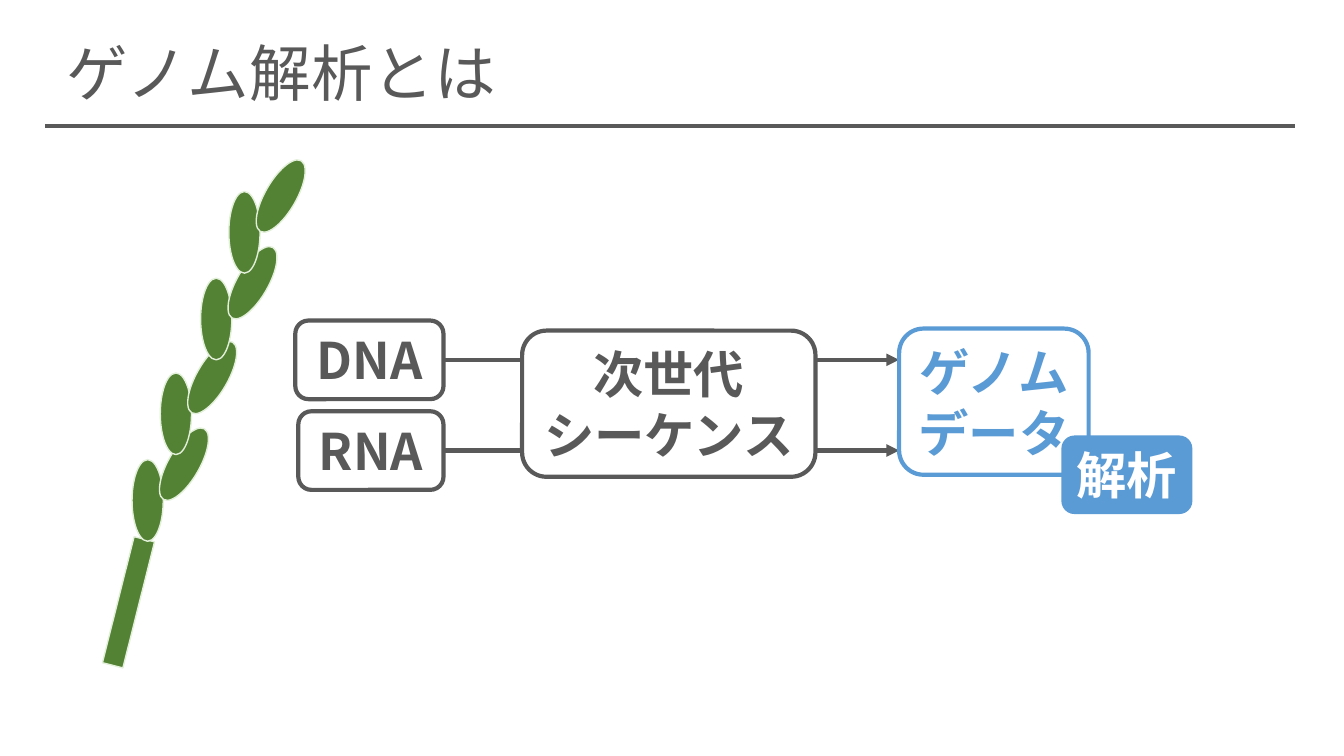
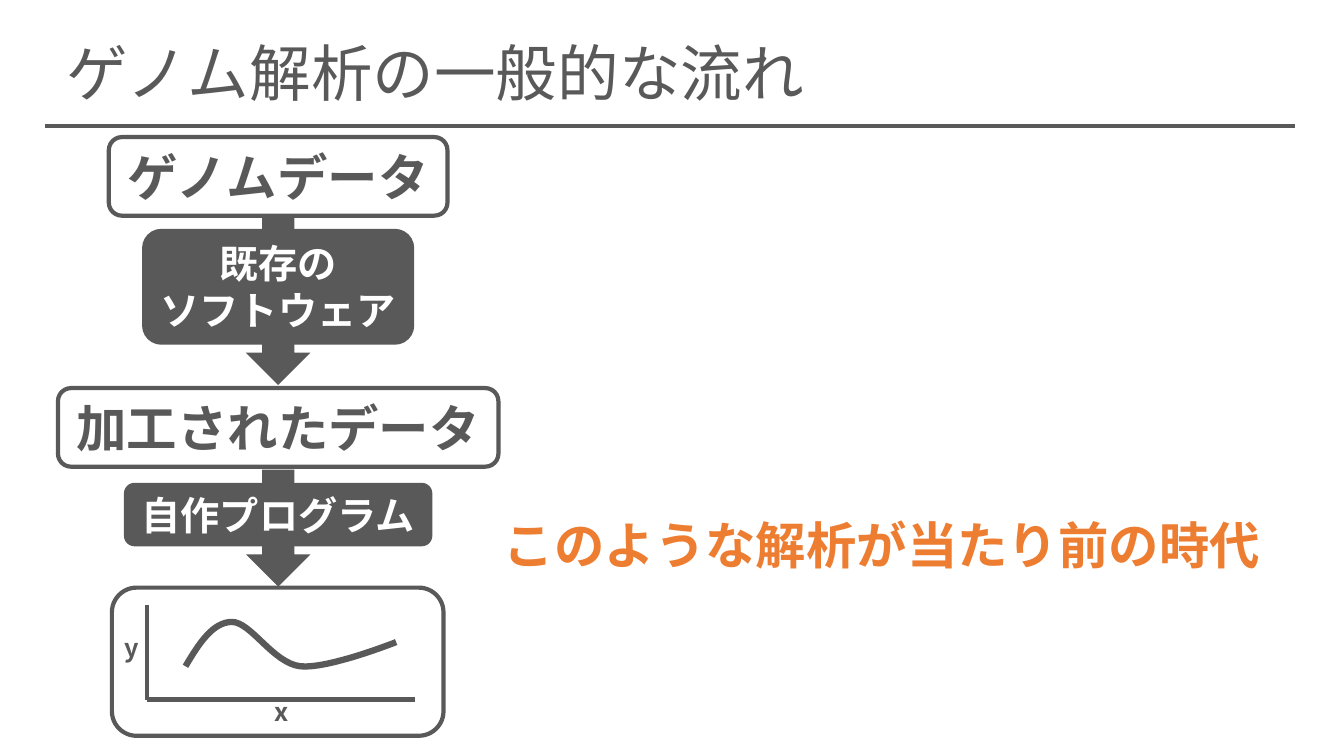
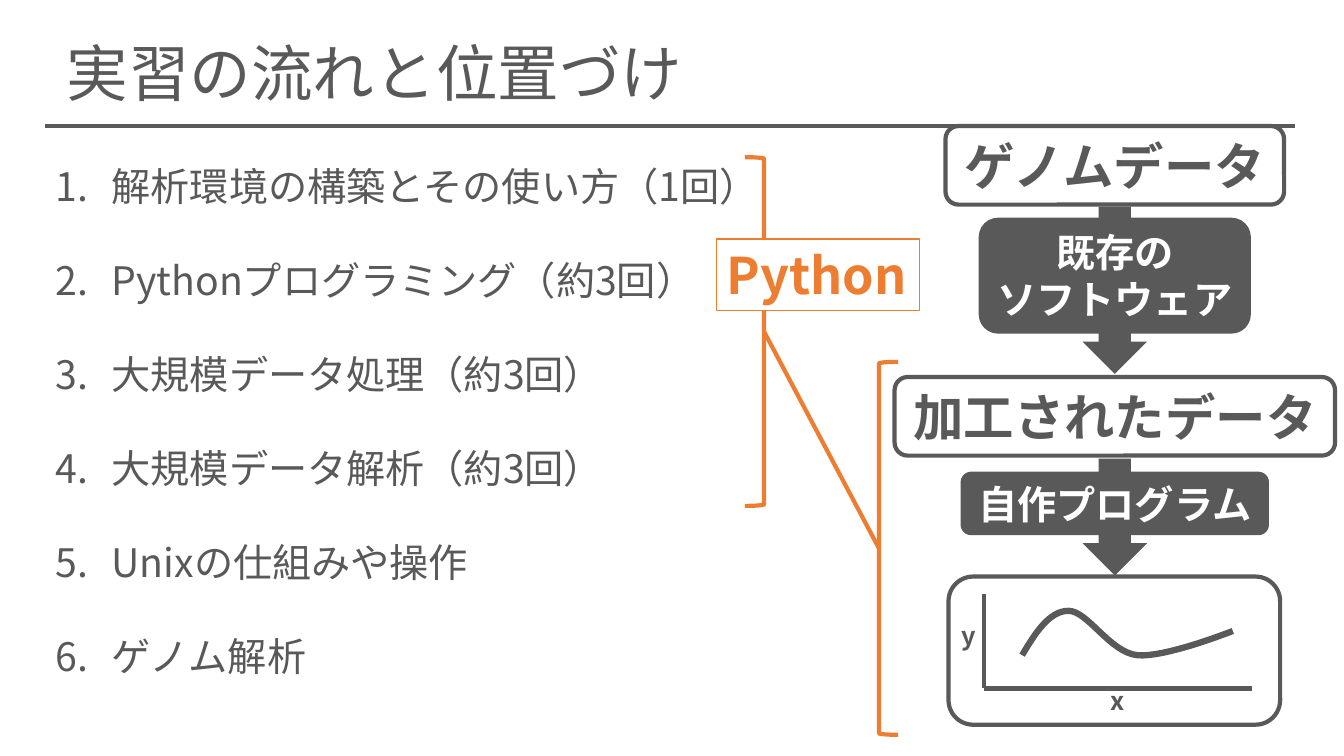
from dataclasses import dataclass

from lxml import etree
from pptx import Presentation
from pptx.dml.color import RGBColor
from pptx.enum.shapes import MSO_CONNECTOR, MSO_SHAPE
from pptx.enum.text import MSO_ANCHOR, MSO_AUTO_SIZE, PP_ALIGN
from pptx.oxml.ns import qn
from pptx.util import Pt

PX = 9144  # 100 px to the inch
RECT, ROUND, OVAL = MSO_SHAPE.RECTANGLE, MSO_SHAPE.ROUNDED_RECTANGLE, MSO_SHAPE.OVAL
DOWN = MSO_SHAPE.DOWN_ARROW
OPEN, CLOSE = MSO_SHAPE.LEFT_BRACKET, MSO_SHAPE.RIGHT_BRACKET
LEFT, MID = PP_ALIGN.LEFT, PP_ALIGN.CENTER
TOP, CENTER = MSO_ANCHOR.TOP, MSO_ANCHOR.MIDDLE


@dataclass(frozen=True)
class Theme:
    font: str = "Noto Sans CJK JP"
    gray: str = "595959"
    white: str = "FFFFFF"
    blue: str = "5B9BD5"
    orange: str = "ED7D31"
    green: str = "548235"
    pale: str = "E2F0D9"
    title: int = 44
    head: int = 36
    body: int = 28
    small: int = 18
    gap: float = 33.5
    thin: float = 1
    rule: float = 2.25
    line: float = 3
    curve: float = 4.5


T = Theme()


def emu(*vals):
    return [round(v * PX) for v in vals]


def color(code):
    return RGBColor.from_string(code)


# Text
def write(shape, lines, size, ink, bold=True, align=MID, anchor=CENTER, wrap=False):
    frame = shape.text_frame
    frame.auto_size = MSO_AUTO_SIZE.NONE
    frame.word_wrap = wrap
    frame.vertical_anchor = anchor
    for i, line in enumerate(lines):
        para = frame.add_paragraph() if i else frame.paragraphs[0]
        para.alignment = align
        run = para.add_run()
        run.text = line
        font = run.font
        font.name, font.size, font.bold = T.font, Pt(size), bold
        font.color.rgb = color(ink)
        face = etree.SubElement(run._r.get_or_add_rPr(), qn("a:ea"))
        face.set("typeface", T.font)
    return frame


def label(slide, at, lines, size, ink, **style):
    box = slide.shapes.add_textbox(*emu(*at))
    style = {"align": LEFT, "anchor": TOP, "wrap": True, **style}
    return write(box, lines, size, ink, **style)


# Shapes and lines
def paint(shape, fill=None, edge=None, width=T.line):
    shape.shadow.inherit = False
    if fill:
        shape.fill.solid()
        shape.fill.fore_color.rgb = color(fill)
    else:
        shape.fill.background()
    if edge:
        shape.line.color.rgb = color(edge)
        shape.line.width = Pt(width)
    else:
        shape.line.fill.background()
    return shape


def draw(slide, kind, at, fill=None, edge=None, width=T.line, turn=0):
    shape = slide.shapes.add_shape(kind, *emu(*at))
    shape.rotation = turn
    return paint(shape, fill, edge, width)


def card(slide, at, lines, ink=T.gray, fill=None):
    write(draw(slide, ROUND, at, fill, ink), lines, T.head, ink)


def badge(slide, at, lines, fill=T.gray, size=T.body):
    write(draw(slide, ROUND, at, fill), lines, size, T.white)


def link(slide, ends, ink=T.gray, width=T.line, arrow=False):
    line = slide.shapes.add_connector(MSO_CONNECTOR.STRAIGHT, *emu(*ends))
    line.line.color.rgb = color(ink)
    line.line.width = Pt(width)
    if arrow:
        tip = etree.SubElement(line.line._get_or_add_ln(), qn("a:tailEnd"))
        tip.set("type", "triangle")
    etree.SubElement(line._element.spPr, qn("a:effectLst"))


def bend(a, b, c, d, steps=16):
    """Points along a cubic curve, without its start."""
    for i in range(1, steps + 1):
        t = i / steps
        u = 1 - t
        yield tuple(u**3 * p + 3 * u * u * t * q + 3 * u * t * t * r + t**3 * s
                    for p, q, r, s in zip(a, b, c, d))


# Shared frame of every slide
def start(deck, text):
    slide = deck.slides.add_slide(deck.slide_layouts[5])
    title = slide.shapes.title
    title.left, title.top, title.width, title.height = emu(56, 30, 1039, 84)
    write(title, [text], T.title, T.gray, bold=False, align=LEFT, anchor=TOP, wrap=True)
    link(slide, (45, 125, 1285, 125), width=T.rule)
    return slide


# Ear of rice
def plant(slide):
    draw(slide, RECT, (117, 533, 21, 129), T.green, T.pale, T.thin, 14.1)
    for x, y in ((131, 456), (159, 370), (199, 276), (227, 190)):
        for step, turn in ((0, 0), (36, 30)):
            draw(slide, OVAL, (x + step, y - step, 31, 81), T.green, T.pale, T.thin, turn)


# Small graph in a round frame
def graph(slide, x, y):
    link(slide, (x + 35, y + 17, x + 35, y + 111))
    link(slide, (x + 35, y + 111, x + 301, y + 111))
    for name, dx, dy in (("x", 151, 103), ("y", 3, 39)):
        label(slide, (x + dx, y + dy, 34, 40), [name], T.small, T.gray,
              align=MID, wrap=False)
    knots = [(x + dx, y + dy) for dx, dy in (
        (73, 78), (86, 56), (100, 34), (119, 34), (138, 34),
        (160, 75), (187, 78), (214, 81), (282, 54), (282, 54))]
    pen = slide.shapes.build_freeform(*emu(*knots[0]))
    dots = [dot for i in (0, 3, 6) for dot in bend(*knots[i:i + 4])]
    pen.add_line_segments([emu(*dot) for dot in dots], close=False)
    paint(pen.convert_to_shape(), edge=T.gray, width=T.curve)
    draw(slide, ROUND, (x, y, 329, 147), edge=T.gray)


# Flow from data to graph, centred on x
def flow(slide, x, y):
    def mid(top, wide, high):
        return x - wide / 2, y + top, wide, high

    card(slide, mid(0, 336, 78), ["ゲノムデータ"])
    card(slide, mid(249, 437, 78), ["加工されたデータ"])
    draw(slide, DOWN, mid(330, 64, 116), T.gray)
    badge(slide, mid(343, 306, 63), ["自作プログラム"])
    draw(slide, DOWN, mid(80, 64, 166), T.gray)
    badge(slide, mid(91, 270, 115), ["既存の", "ソフトウェア"])
    graph(slide, x - 165, y + 447)


# Numbered list
def steps(slide, at, lines):
    frame = label(slide, at, lines, T.body, T.gray, bold=False)
    for para in frame.paragraphs:
        para.space_after = Pt(T.gap)
        props = para._p.get_or_add_pPr()
        props.set("marL", str(56 * PX))
        props.set("indent", str(-56 * PX))
        mark = etree.SubElement(props, qn("a:buAutoNum"))
        mark.set("type", "arabicPeriod")


def main():
    deck = Presentation()
    deck.slide_width, deck.slide_height = emu(1333.33, 750)

    # What genome analysis is
    slide = start(deck, "ゲノム解析とは")
    for y in (447, 357):
        link(slide, (440, y, 892, y), arrow=True)
    card(slide, (892, 326, 188, 145), ["ゲノム", "データ"], T.blue, T.white)
    card(slide, (518, 328, 291, 145), ["次世代", "シーケンス"], fill=T.white)
    card(slide, (293, 318, 147, 78), ["DNA"], fill=T.white)
    card(slide, (296, 408, 144, 78), ["RNA"], fill=T.white)
    badge(slide, (1053, 432, 130, 78), ["解析"], T.blue, T.head)
    plant(slide)

    # Usual flow
    slide = start(deck, "ゲノム解析の一般的な流れ")
    flow(slide, 276, 136)
    label(slide, (490, 505, 799, 71), ["このような解析が当たり前の時代"], T.head, T.orange)

    # Course plan
    slide = start(deck, "実習の流れと位置づけ")
    steps(slide, (45, 156, 798, 528), [
        "解析環境の構築とその使い方（1回）",
        "Pythonプログラミング（約3回）",
        "大規模データ処理（約3回）",
        "大規模データ解析（約3回）",
        "Unixの仕組みや操作",
        "ゲノム解析",
    ])
    draw(slide, CLOSE, (739, 156, 19, 346), edge=T.orange)
    draw(slide, OPEN, (872, 359, 19, 370), edge=T.orange)
    link(slide, (758, 329, 872, 544), T.orange)
    flow(slide, 1106, 125)
    tag = draw(slide, RECT, (711, 237, 201, 71), T.white, T.orange, T.thin)
    write(tag, ["Python"], T.head, T.orange, align=LEFT, anchor=TOP)

    deck.save("out.pptx")


if __name__ == "__main__":
    main()
